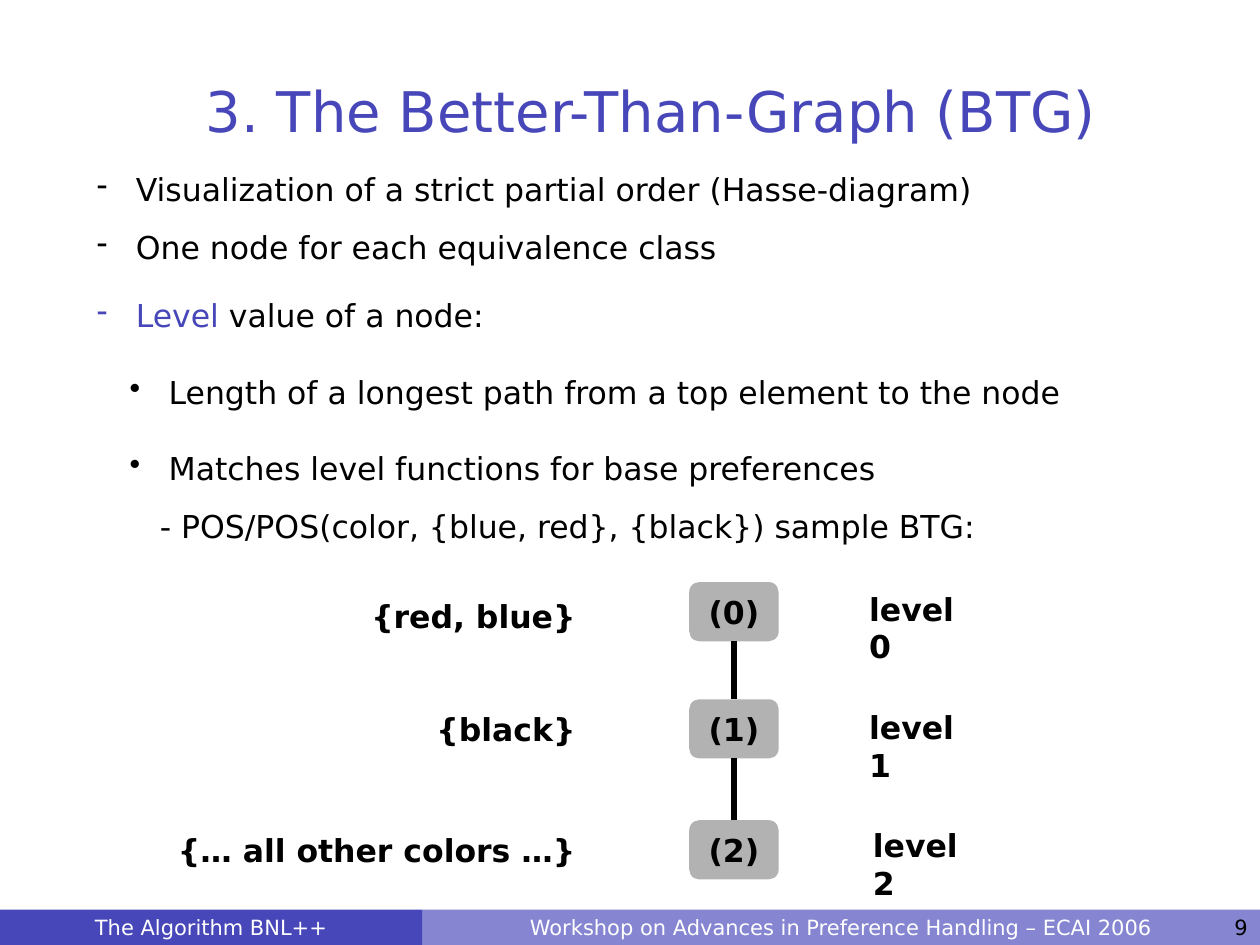
from dataclasses import dataclass

from lxml import etree
from pptx import Presentation
from pptx.dml.color import RGBColor
from pptx.enum.shapes import MSO_CONNECTOR, MSO_SHAPE
from pptx.enum.text import MSO_ANCHOR, PP_ALIGN
from pptx.oxml.ns import qn
from pptx.util import Inches, Pt

RECT = MSO_SHAPE.RECTANGLE
ROUNDED = MSO_SHAPE.ROUNDED_RECTANGLE
STRAIGHT = MSO_CONNECTOR.STRAIGHT
TOP, MIDDLE = MSO_ANCHOR.TOP, MSO_ANCHOR.MIDDLE
LEFT, CENTER, RIGHT = PP_ALIGN.LEFT, PP_ALIGN.CENTER, PP_ALIGN.RIGHT

COLUMNS, ROWS = 100, 75
CELL = Inches(10) // COLUMNS


@dataclass(frozen=True)
class Theme:
    font: str = "DejaVu Sans"
    accent: RGBColor = RGBColor(0x47, 0x47, 0xBA)
    accent_light: RGBColor = RGBColor(0x85, 0x85, 0xD1)
    ink: RGBColor = RGBColor(0, 0, 0)
    paper: RGBColor = RGBColor(255, 255, 255)
    node: RGBColor = RGBColor(0xB2, 0xB2, 0xB2)
    title_size: int = 32
    body_size: int = 18
    footer_size: int = 12
    edge_width: int = 3


THEME = Theme()


@dataclass(frozen=True)
class Box:
    col: float
    row: float
    cols: float
    rows: float

    def inner(self, col, row, cols, rows):
        return Box(self.col + col, self.row + row, cols, rows)

    def lengths(self):
        return [round(n * CELL) for n in (self.col, self.row, self.cols, self.rows)]


def apply(target, formats):
    for name, value in formats.items():
        setattr(target, name, value)


def add_run(paragraph, words, size, color, bold=False):
    run = paragraph.add_run()
    run.text = words
    apply(run.font, {"name": THEME.font, "size": Pt(size), "bold": bold})
    run.font.color.rgb = color


def write(shape, words, size, color, align=LEFT, anchor=TOP, bold=False, wrap=True):
    apply(shape.text_frame, {"word_wrap": wrap, "vertical_anchor": anchor})
    paragraph = shape.text_frame.paragraphs[0]
    paragraph.alignment = align
    add_run(paragraph, words, size, color, bold)


def add_text(slide, box, words, size, color, **formats):
    write(slide.shapes.add_textbox(*box.lengths()), words, size, color, **formats)


def add_panel(slide, box, preset, fill, words, size, color, align=CENTER, bold=False):
    panel = slide.shapes.add_shape(preset, *box.lengths())
    panel.shadow.inherit = False
    panel.line.fill.background()
    if fill is None:
        panel.fill.background()
    else:
        panel.fill.solid()
        panel.fill.fore_color.rgb = fill
    write(panel, words, size, color, align, MIDDLE, bold, wrap=False)


def add_edge(slide, col, start_row, end_row):
    ends = [round(n * CELL) for n in (col, start_row, col, end_row)]
    edge = slide.shapes.add_connector(STRAIGHT, *ends)
    edge.line.color.rgb = THEME.ink
    edge.line.width = Pt(THEME.edge_width)
    etree.SubElement(edge._element.spPr, qn("a:effectLst"))


def set_indent(paragraph, margin, hanging, bullet):
    properties = paragraph._p.get_or_add_pPr()
    properties.set("marL", str(Inches(margin)))
    properties.set("indent", str(-Inches(hanging)))
    if bullet:
        etree.SubElement(properties, qn("a:buChar")).set("char", bullet)
    else:
        etree.SubElement(properties, qn("a:buNone"))


def place_title(slide, box):
    add_text(slide, box, "3. The Better-Than-Graph (BTG)", THEME.title_size,
             THEME.accent, align=CENTER, anchor=MIDDLE)


def place_points(slide, box):
    ink, accent = THEME.ink, THEME.accent
    dash, dot, plain = (0.31, 0.31, "-"), (0.57, 0.31, "•"), (0.5, 0, None)
    points = [
        (dash, 0, [("Visualization of a strict partial order (Hasse-diagram)", ink)]),
        (dash, 11.5, [("One node for each equivalence class", ink)]),
        (dash, 17.5, [("Level", accent), (" value of a node:", ink)]),
        (dot, 22, [("Length of a longest path from a top element to the node", ink)]),
        (dot, 22, [("Matches level functions for base preferences", ink)]),
        (plain, 11.5, [("- POS/POS(color, {blue, red}, {black}) sample BTG:", ink)]),
    ]
    frame = slide.shapes.add_textbox(*box.lengths()).text_frame
    apply(frame, {"word_wrap": True, "margin_top": Inches(0.36)})
    for index, (indent, gap, pieces) in enumerate(points):
        paragraph = frame.add_paragraph() if index else frame.paragraphs[0]
        paragraph.space_before = Pt(gap)
        set_indent(paragraph, *indent)
        for words, color in pieces:
            add_run(paragraph, words, THEME.body_size, color)


def place_graph(slide, box):
    node_col, node_cols, node_rows = 42.5, 7.1, 4.7
    set_edge, level_pitch = 34.7, 9.4
    levels = [
        (0, 0.3, "{red, blue}", 20.5, 55.8),
        (9.3, 0, "{black}", 15.8, 55.8),
        (18.9, 0, "{… all other colors …}", 34.7, 56.1),
    ]
    size, ink = THEME.body_size, THEME.ink
    for level, (row, drop, members, set_cols, label_col) in enumerate(levels):
        add_text(slide, box.inner(label_col, 0.1 + level * level_pitch, 10, 4),
                 f"level {level}", size, ink, bold=True)
        add_panel(slide, box.inner(set_edge - set_cols, row + drop, set_cols, node_rows),
                  ROUNDED, None, members, size, ink, RIGHT, True)
        add_panel(slide, box.inner(node_col, row, node_cols, node_rows),
                  ROUNDED, THEME.node, f"({level})", size, ink, CENTER, True)
    for upper, lower in zip(levels, levels[1:]):
        add_edge(slide, box.col + node_col + node_cols / 2,
                 box.row + upper[0] + node_rows, box.row + lower[0])


def place_footer(slide, box):
    topic_cols, number_cols = 33.5, 8
    size, paper = THEME.footer_size, THEME.paper
    add_panel(slide, box.inner(topic_cols, 0, box.cols - topic_cols, box.rows), RECT,
              THEME.accent_light,
              "Workshop on Advances in Preference Handling – ECAI 2006", size, paper)
    add_panel(slide, box.inner(0, 0, topic_cols, box.rows), RECT,
              THEME.accent, "The Algorithm BNL++", size, paper)
    add_text(slide, box.inner(COLUMNS - number_cols, -0.1, number_cols, 2.9),
             "9", size, THEME.ink, align=RIGHT)


def main():
    deck = Presentation()
    apply(deck, {"slide_width": COLUMNS * CELL, "slide_height": ROWS * CELL})
    slide = deck.slides.add_slide(deck.slide_layouts[6])
    place_footer(slide, Box(0, 72.2, COLUMNS, 2.8))
    place_points(slide, Box(6.7, 9.9, 85.1, 34))
    place_graph(slide, Box(12.2, 46.2, 66.1, 23.6))
    place_title(slide, Box(6.7, 5.2, 90, 7.1))
    deck.save("out.pptx")


if __name__ == "__main__":
    main()
